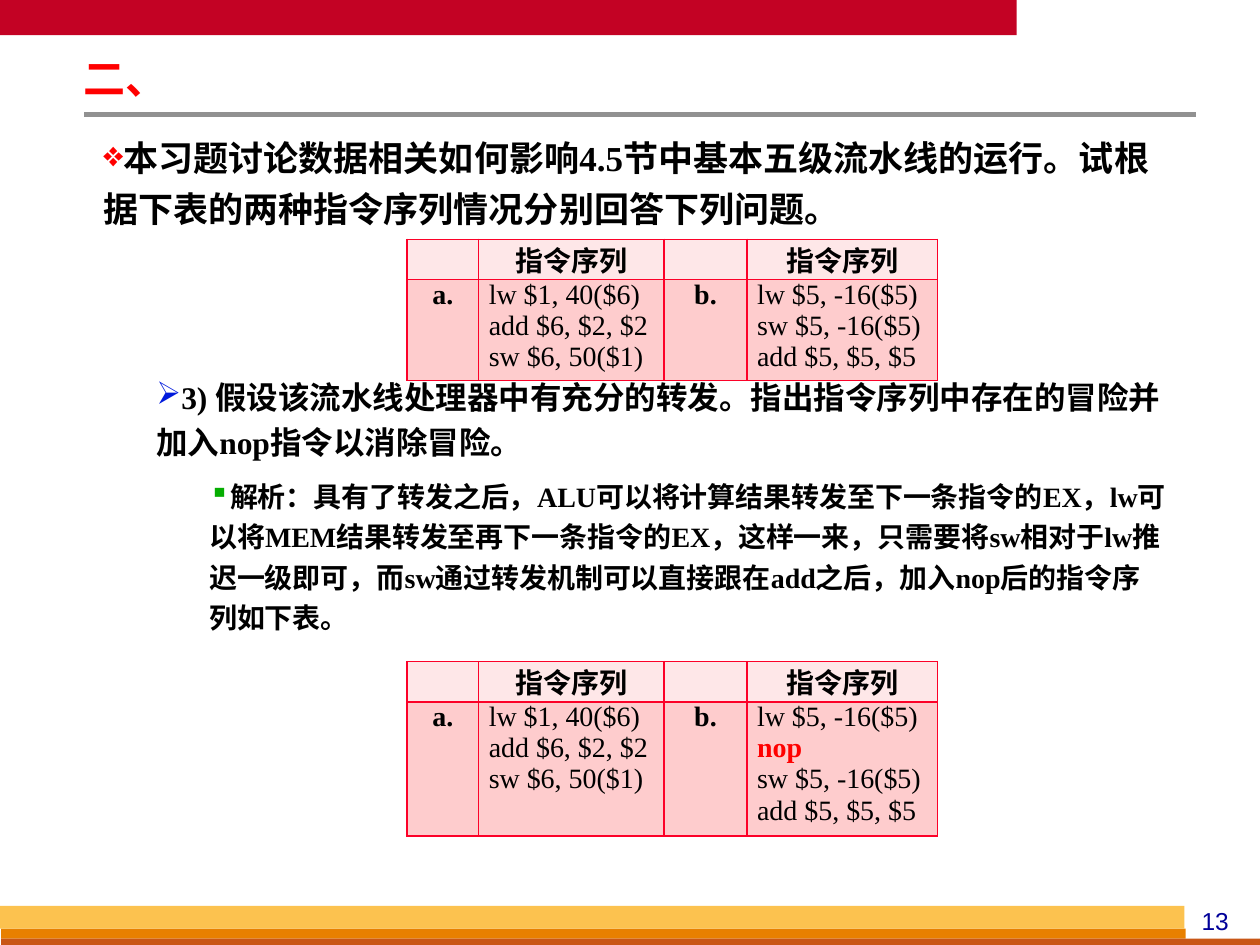
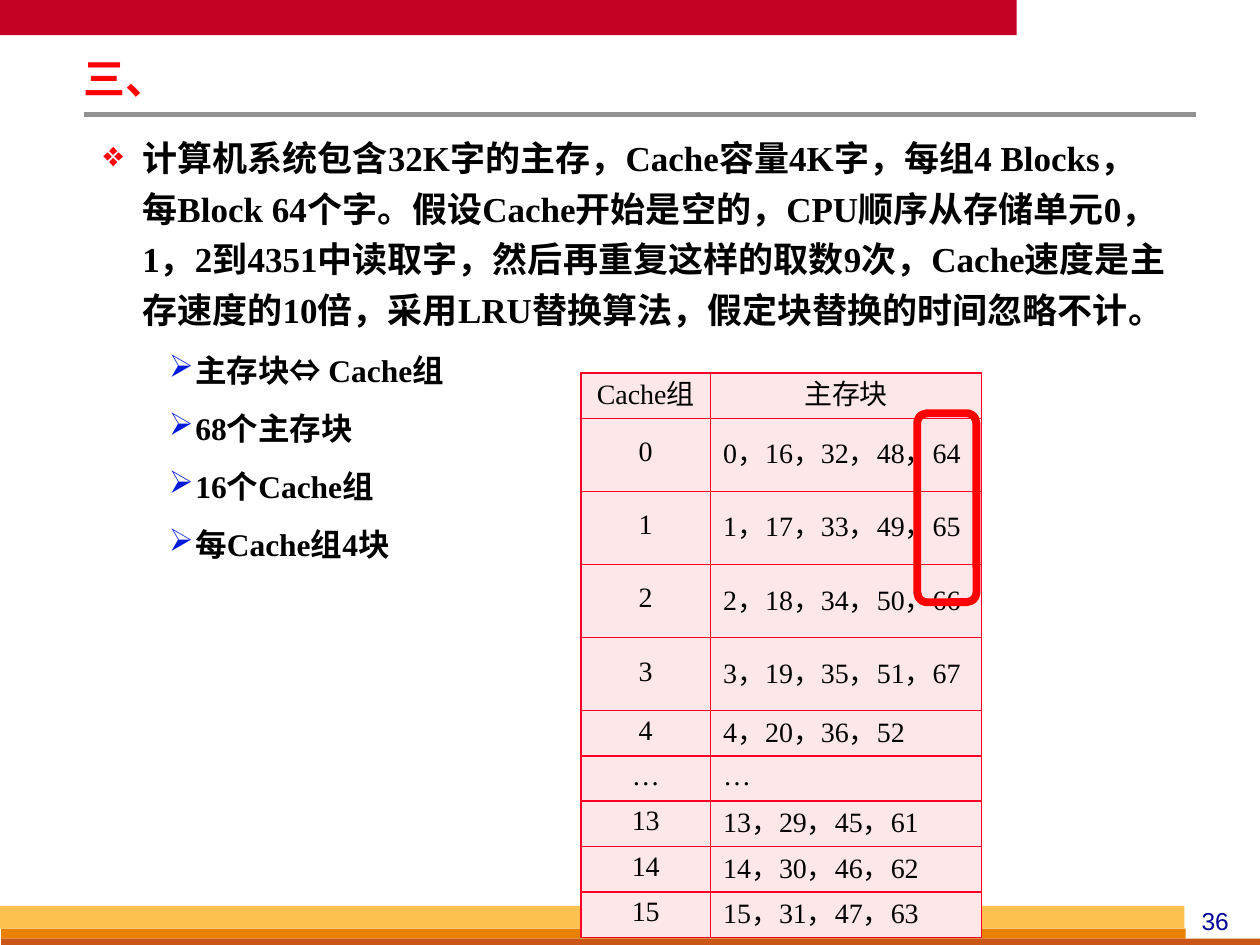
from lxml.etree import SubElement
from pptx import Presentation
from pptx.dml.color import RGBColor
from pptx.enum.shapes import MSO_CONNECTOR, MSO_SHAPE
from pptx.enum.text import MSO_ANCHOR, PP_ALIGN
from pptx.oxml.ns import qn
from pptx.util import Inches, Pt

# Shared look
SERIF, SANS = "Times New Roman", "Arial"
BLACK, RED, NAVY, GRAY = "000000", "FF0000", "000099", "919191"
GRID_RED, PALE_PINK, PINK = "FC0128", "FEE7E8", "FECCCD"
BANDS = [  # left, top, width, height, colour
    (0, 0, 8.07, 0.28, "C30224"),
    (0.01, 7.37, 9.4, 0.08, "E88000"),
    (0.01, 7.45, 10, 0.08, "C95616"),
    (0, 7.19, 9.4, 0.18, "FCC24F"),
]
# Bullet, its colour and the text size for each outline level
LEVELS = [("❖", "FF0000", 20), ("➢", "001ADC", 18), ("▪", "05AD01", 16)]


def rgb(color):
    return RGBColor.from_string(color)


def set_font(paragraph, size, color=BLACK, bold=False, name=SERIF):
    font = paragraph.font
    font.name, font.size, font.bold = name, Pt(size), bold
    font.color.rgb = rgb(color)


def add_solid_fill(parent, color):
    fill = SubElement(parent, qn("a:solidFill"))
    SubElement(fill, qn("a:srgbClr"), val=color)


# Text
def add_text_frame(slide, left, top, width, height, margins=(0.07, 0.03)):
    box = slide.shapes.add_textbox(
        Inches(left), Inches(top), Inches(width), Inches(height))
    frame = box.text_frame
    frame.word_wrap = True
    frame.margin_left = frame.margin_right = Inches(margins[0])
    frame.margin_top = frame.margin_bottom = Inches(margins[1])
    return frame


def add_title(slide, text):
    paragraph = add_text_frame(slide, 0.59, 0.44, 5.75, 0.41).paragraphs[0]
    paragraph.text = text
    paragraph.line_spacing = 0.87
    set_font(paragraph, 24, RED, True)


def set_bullet(paragraph, level, margin, indent):
    bullet, color, _ = LEVELS[level]
    properties = paragraph._p.get_or_add_pPr()
    properties.set("marL", str(Inches(margin)))
    properties.set("indent", str(Inches(indent)))
    bullet_color = SubElement(properties, qn("a:buClr"))
    SubElement(bullet_color, qn("a:srgbClr"), val=color)
    SubElement(properties, qn("a:buChar"), char=bullet)


def add_outline(slide, height, indents, items, gaps=None):
    """Items are (level, text); gaps gives extra points above an item."""
    frame = add_text_frame(slide, 0.75, 0.99, 8.58, height)
    for index, (level, text) in enumerate(items):
        paragraph = frame.add_paragraph() if index else frame.paragraphs[0]
        size = LEVELS[level][2]
        paragraph.text = text
        paragraph.level = level
        set_bullet(paragraph, level, *indents[level])
        paragraph.line_spacing = 1.2
        if index:
            paragraph.space_before = Pt(0.2 * size + (gaps or {}).get(index, 0))
        paragraph.space_after = Pt(0.2 * size)
        set_font(paragraph, size, bold=True)


# Bands, rule and slide number
def add_slide(presentation, title, number):
    slide = presentation.slides.add_slide(presentation.slide_layouts[6])
    for *place, color in BANDS:
        band = slide.shapes.add_shape(MSO_SHAPE.RECTANGLE, *map(Inches, place))
        band.shadow.inherit = False
        band.fill.solid()
        band.fill.fore_color.rgb = rgb(color)
        band.line.fill.background()
    rule = slide.shapes.add_connector(
        MSO_CONNECTOR.STRAIGHT,
        Inches(0.67), Inches(0.91), Inches(9.49), Inches(0.91))
    rule.line.color.rgb = rgb(GRAY)
    rule.line.width = Pt(3)
    SubElement(rule._element.spPr, qn("a:effectLst"))
    frame = add_text_frame(slide, 9.33, 7.14, 0.63, 0.33, (0.1, 0.05))
    paragraph = frame.paragraphs[0]
    paragraph.text = str(number)
    paragraph.alignment = PP_ALIGN.CENTER
    set_font(paragraph, 14, NAVY, name=SANS)
    add_title(slide, title)
    return slide


# Tables
def style_cell(cell, fill, margins):
    properties = cell._tc.get_or_add_tcPr()
    for side in ("lnL", "lnR", "lnT", "lnB"):
        border = SubElement(properties, qn(f"a:{side}"), w=str(Pt(1)))
        add_solid_fill(border, GRID_RED)
    cell.fill.solid()
    cell.fill.fore_color.rgb = rgb(fill)
    cell.margin_left = cell.margin_right = Inches(margins[0])
    cell.margin_top = cell.margin_bottom = Inches(margins[1])


def add_grid(slide, left, top, widths, heights, margins, rows, body_fill):
    """Add a bordered table; the first row is always pale."""
    table = slide.shapes.add_table(
        len(heights), len(widths), Inches(left), Inches(top),
        Inches(sum(widths)), Inches(sum(heights))).table
    table.first_row = table.horz_banding = False
    for column, width in zip(table.columns, widths):
        column.width = Inches(width)
    for index, (row, height, texts) in enumerate(
            zip(table.rows, heights, rows)):
        row.height = Inches(height)
        for cell, text in zip(row.cells, texts):
            style_cell(cell, body_fill if index else PALE_PINK, margins)
            cell.text = text
    return table


def add_sequence_table(slide, top, code_height, code_a, code_b):
    rows = [("", "指令序列", "", "指令序列"), ("a.", code_a, "b.", code_b)]
    table = add_grid(slide, 3.23, top, (0.57, 1.47, 0.66, 1.51),
                     (0.32, code_height), (0.08, 0), rows, PINK)
    for index, cell in enumerate(table.iter_cells()):
        is_code = index in (5, 7)
        for paragraph in cell.text_frame.paragraphs:
            is_nop = paragraph.text == "nop"
            if not is_code:
                paragraph.alignment = PP_ALIGN.CENTER
            set_font(paragraph, 16, RED if is_nop else BLACK,
                     is_nop or not is_code)


def add_cache_table(slide, left, top):
    rows = [("Cache组", "主存块")]
    for cache_set in (0, 1, 2, 3, 4, None, 13, 14, 15):
        if cache_set is None:
            rows.append(("…", "…"))
        else:
            blocks = range(cache_set, 68, 16)
            rows.append((str(cache_set), "，".join(map(str, blocks))))
    # Sets with five blocks take two lines
    heights = [0.58 if blocks.count("，") == 4 else 0.36 for _, blocks in rows]
    table = add_grid(slide, left, top, (1.03, 2.15), heights, (0.1, 0.05),
                     rows, PALE_PINK)
    for index, cell in enumerate(table.iter_cells()):
        cell.vertical_anchor = MSO_ANCHOR.MIDDLE
        paragraph = cell.text_frame.paragraphs[0]
        paragraph.line_spacing = 0.75
        if index < 2 or index % 2 == 0:
            paragraph.alignment = PP_ALIGN.CENTER
        set_font(paragraph, 16)


def add_highlight(slide, left, top, width, height):
    frame = slide.shapes.add_shape(
        MSO_SHAPE.ROUNDED_RECTANGLE,
        Inches(left), Inches(top), Inches(width), Inches(height))
    frame.shadow.inherit = False
    frame.fill.background()
    frame.line.color.rgb = rgb(RED)
    frame.line.width = Pt(4.5)


# Slides
def build_hazard_slide(presentation):
    slide = add_slide(presentation, "二、", 13)
    add_outline(slide, 4.2, [(0, 0), (0.42, 0), (0.84, 0)], [
        (0, "本习题讨论数据相关如何影响4.5节中基本五级流水线的运行。"
            "试根据下表的两种指令序列情况分别回答下列问题。"),
        (1, "3) 假设该流水线处理器中有充分的转发。"
            "指出指令序列中存在的冒险并加入nop指令以消除冒险。"),
        (2, "解析：具有了转发之后，ALU可以将计算结果转发至下一条指令的EX，"
            "lw可以将MEM结果转发至再下一条指令的EX，这样一来，"
            "只需要将sw相对于lw推迟一级即可，而sw通过转发机制可以直接跟在add之后，"
            "加入nop后的指令序列如下表。"),
    ], gaps={1: 73})
    code_a = "lw $1, 40($6)\nadd $6, $2, $2\nsw $6, 50($1)"
    load, rest = "lw $5, -16($5)\n", "sw $5, -16($5)\nadd $5, $5, $5"
    add_sequence_table(slide, 1.9, 0.8, code_a, load + rest)
    add_sequence_table(slide, 5.25, 0.99, code_a, load + "nop\n" + rest)


def build_cache_slide(presentation):
    slide = add_slide(presentation, "三、", 36)
    add_outline(slide, 4.02, [(0.31, -0.31), (0.73, -0.21)], [
        (0, "计算机系统包含32K字的主存，Cache容量4K字，每组4 Blocks，"
            "每Block 64个字。假设Cache开始是空的，"
            "CPU顺序从存储单元0，1，2到4351中读取字，然后再重复这样的取数9次，"
            "Cache速度是主存速度的10倍，采用LRU替换算法，假定块替换的时间忽略不计。"),
        (1, "主存块⇔ Cache组"),
        (1, "68个主存块"),
        (1, "16个Cache组"),
        (1, "每Cache组4块"),
    ])
    add_cache_table(slide, 4.61, 2.96)
    add_highlight(slide, 7.28, 3.28, 0.47, 1.5)


def main():
    presentation = Presentation()
    presentation.slide_width = Inches(10)
    presentation.slide_height = Inches(7.5)
    build_hazard_slide(presentation)
    build_cache_slide(presentation)
    presentation.save("out.pptx")


if __name__ == "__main__":
    main()
